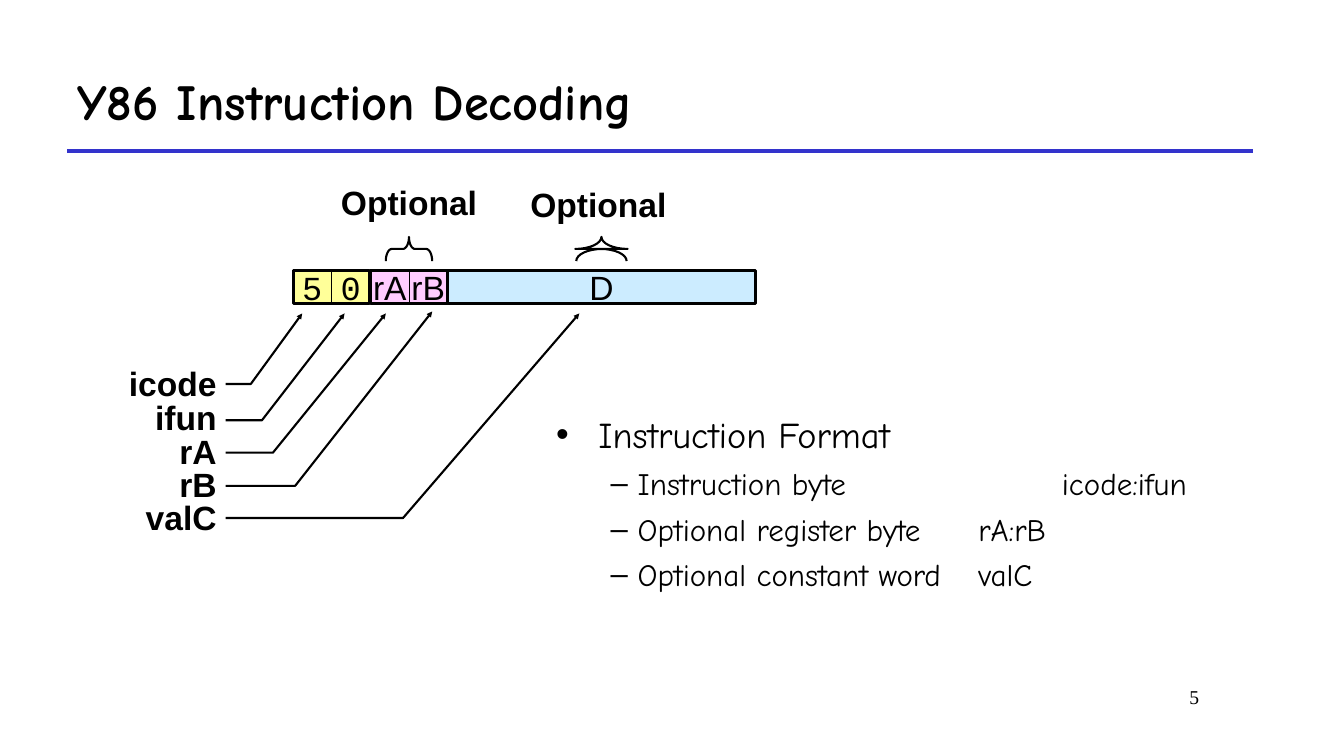
from math import cos, pi, sin

from lxml.etree import SubElement
from pptx import Presentation
from pptx.dml.color import RGBColor
from pptx.enum.shapes import MSO_CONNECTOR as Connector, MSO_SHAPE as Shape
from pptx.enum.text import MSO_ANCHOR as Anchor, MSO_AUTO_SIZE as AutoSize, PP_ALIGN as Align
from pptx.oxml.ns import qn
from pptx.util import Pt

SCALE = 9144
SLIDE_SIZE = (1334, 750)
BLACK, RULE_BLUE = "000000", "3333CC"
YELLOW, PINK, PALE_BLUE = "FFFF99", "FFCCFF", "CCECFF"
HAND, SANS, MONO, SERIF = "Comic Neue", "Arial", "Courier New", "Times New Roman"

TITLE = "Y86 Instruction Decoding"
PAGE_NUMBER = "5"
# text, level, size, space before, left margin, hanging indent, tab stop
BULLETS = [
    ("Instruction Format", 0, 25.9, 7, 42, 42, None),
    ("Instruction byte\ticode:ifun", 1, 22.2, 6, 81, 27, 502),
    ("Optional register byte\trA:rB", 1, 22.2, 6, 81, 27, 419),
    ("Optional constant word\tvalC", 1, 22.2, 6, 81, 27, 419),
]
BYTES = [(("5", "0"), MONO, YELLOW), (("rA", "rB"), SANS, PINK)]
FIELD_LEFT, FIELD_TOP, FIELD_HEIGHT = 291, 268, 33
NIBBLE_WIDTH, WORD_WIDTH = 38, 306
LABEL_TOP, ARROW_LEFT = 360, 224
ARROWS = [
    ("icode", 381, 249, (300, 311)),
    ("ifun", 417, 260, (342, 311)),
    ("rA", 449, 271, (383, 311)),
    ("rB", 482, 293, (429, 309)),
    ("valC", 514, 400, (575, 311)),
]
BRACES = [("Optional", 316, 180, 406, 23, 6), ("Optional", 504, 182, 597, 25, 26)]
BRACE_LABEL_WIDTH = 180
BRACE_TOP, BRACE_RISE = 235, 12


def px(value):
    """Turn px into whole EMU."""
    return round(value * SCALE)


def color(value):
    """Turn a hex string into a colour."""
    return RGBColor.from_string(value)


def add_run(paragraph, text, font, size, bold=False):
    """Append one formatted run."""
    run = paragraph.add_run()
    run.text = text
    run.font.name, run.font.size, run.font.bold = font, Pt(size), bold
    run.font.color.rgb = color(BLACK)


def place(shape, *box):
    """Move and size a shape."""
    shape.left, shape.top, shape.width, shape.height = map(px, box)


def set_line(shape, width):
    """Give a shape a plain black outline."""
    shape.shadow.inherit = False
    shape.line.color.rgb = color(BLACK)
    shape.line.width = Pt(width)


def add_field(slide, box, width, fill=None, text=None, font=SANS):
    """Add one box of the instruction layout."""
    shape = slide.shapes.add_shape(Shape.RECTANGLE, *map(px, box))
    set_line(shape, width)
    if fill:
        shape.fill.solid()
        shape.fill.fore_color.rgb = color(fill)
    else:
        shape.fill.background()
    if text:
        frame = shape.text_frame
        frame.word_wrap, frame.vertical_anchor = False, Anchor.MIDDLE
        frame.paragraphs[0].alignment = Align.CENTER
        add_run(frame.paragraphs[0], text, font, 24)


def add_label(slide, text, box, alignment):
    """Add a bold diagram label."""
    frame = slide.shapes.add_textbox(*map(px, box)).text_frame
    frame.word_wrap = True
    frame.margin_left = frame.margin_right = px(5)
    paragraph = frame.paragraphs[0]
    paragraph.alignment, paragraph.line_spacing = alignment, 0.9
    add_run(paragraph, text, SANS, 24, True)


def add_path(slide, points):
    """Draw an open outline through the points."""
    start, *rest = [(px(x), px(y)) for x, y in points]
    builder = slide.shapes.build_freeform(*start)
    builder.add_line_segments(rest, close=False)
    shape = builder.convert_to_shape()
    shape.fill.background()
    set_line(shape, 1.5)
    return shape


def brace_points(center, half, radius):
    """Return an upward brace made of quarter arcs."""
    angles = [step * pi / 16 for step in range(9)]
    middle = BRACE_TOP + BRACE_RISE
    outer = [(half - radius + radius * cos(a), middle + BRACE_RISE * (1 - sin(a))) for a in angles]
    inner = [(radius * (1 - sin(a)), middle - BRACE_RISE * (1 - cos(a))) for a in angles]
    right = outer + inner
    left = [(-x, y) for x, y in reversed(right)]
    return [(center + x, y) for x, y in right + left[1:]]


def add_texts(slide):
    """Fill the title, the list and the page number."""
    title, body = slide.placeholders
    place(title, 67, 50, 1178, 100)
    title.text_frame.vertical_anchor = Anchor.MIDDLE
    title.text_frame.paragraphs[0].alignment = Align.LEFT
    add_run(title.text_frame.paragraphs[0], TITLE, HAND, 36, True)

    place(body, 542, 404, 700, 196)
    frame = body.text_frame
    frame.auto_size = AutoSize.NONE
    for index, (text, level, size, before, margin, hanging, tab) in enumerate(BULLETS):
        paragraph = frame.add_paragraph() if index else frame.paragraphs[0]
        paragraph.level, paragraph.space_before = level, Pt(before)
        properties = paragraph._p.get_or_add_pPr()
        properties.set("marL", str(px(margin)))
        properties.set("indent", str(px(-hanging)))
        if tab:
            tabs = SubElement(properties, qn("a:tabLst"))
            SubElement(tabs, qn("a:tab"), pos=str(px(tab)), algn="l")
        add_run(paragraph, text, HAND, size)

    number = slide.shapes.add_textbox(*map(px, (1011, 675, 189, 50))).text_frame
    number.word_wrap = True
    number.paragraphs[0].alignment = Align.RIGHT
    add_run(number.paragraphs[0], PAGE_NUMBER, SERIF, 14)


def add_diagram(slide):
    """Draw the instruction fields, their labels, arrows and braces."""
    left = FIELD_LEFT
    for names, font, fill in BYTES:
        byte_width = NIBBLE_WIDTH * len(names)
        for index, name in enumerate(names):
            box = (left + index * NIBBLE_WIDTH, FIELD_TOP, NIBBLE_WIDTH, FIELD_HEIGHT)
            add_field(slide, box, 0.5, fill, name, font)
        add_field(slide, (left, FIELD_TOP, byte_width, FIELD_HEIGHT), 2.25)
        left += byte_width + 1
    add_field(slide, (left - 1, FIELD_TOP, WORD_WIDTH, FIELD_HEIGHT), 2.25, PALE_BLUE, "D")

    for index, (name, y, bend, tip) in enumerate(ARROWS):
        top = LABEL_TOP + round(index * 100 / 3)
        add_label(slide, name, (100, top, 120, 46), Align.RIGHT)
        arrow = add_path(slide, [(ARROW_LEFT, y), (bend, y), tip])
        outline = arrow.element.spPr.find(qn("a:ln"))
        SubElement(outline, qn("a:tailEnd"), type="triangle", w="sm", len="sm")

    for name, label_left, top, center, half, radius in BRACES:
        add_path(slide, brace_points(center, half, radius))
        add_label(slide, name, (label_left, top, BRACE_LABEL_WIDTH, 46), Align.CENTER)


def main():
    """Build and save the slide."""
    presentation = Presentation()
    presentation.slide_width, presentation.slide_height = map(px, SLIDE_SIZE)
    slide = presentation.slides.add_slide(presentation.slide_layouts[1])
    rule = slide.shapes.add_connector(Connector.STRAIGHT, *map(px, (67, 150, 1244, 150)))
    rule.line.color.rgb, rule.line.width = color(RULE_BLUE), Pt(3)
    SubElement(rule.element.spPr, qn("a:effectLst"))
    add_texts(slide)
    add_diagram(slide)
    presentation.save("out.pptx")


if __name__ == "__main__":
    main()
